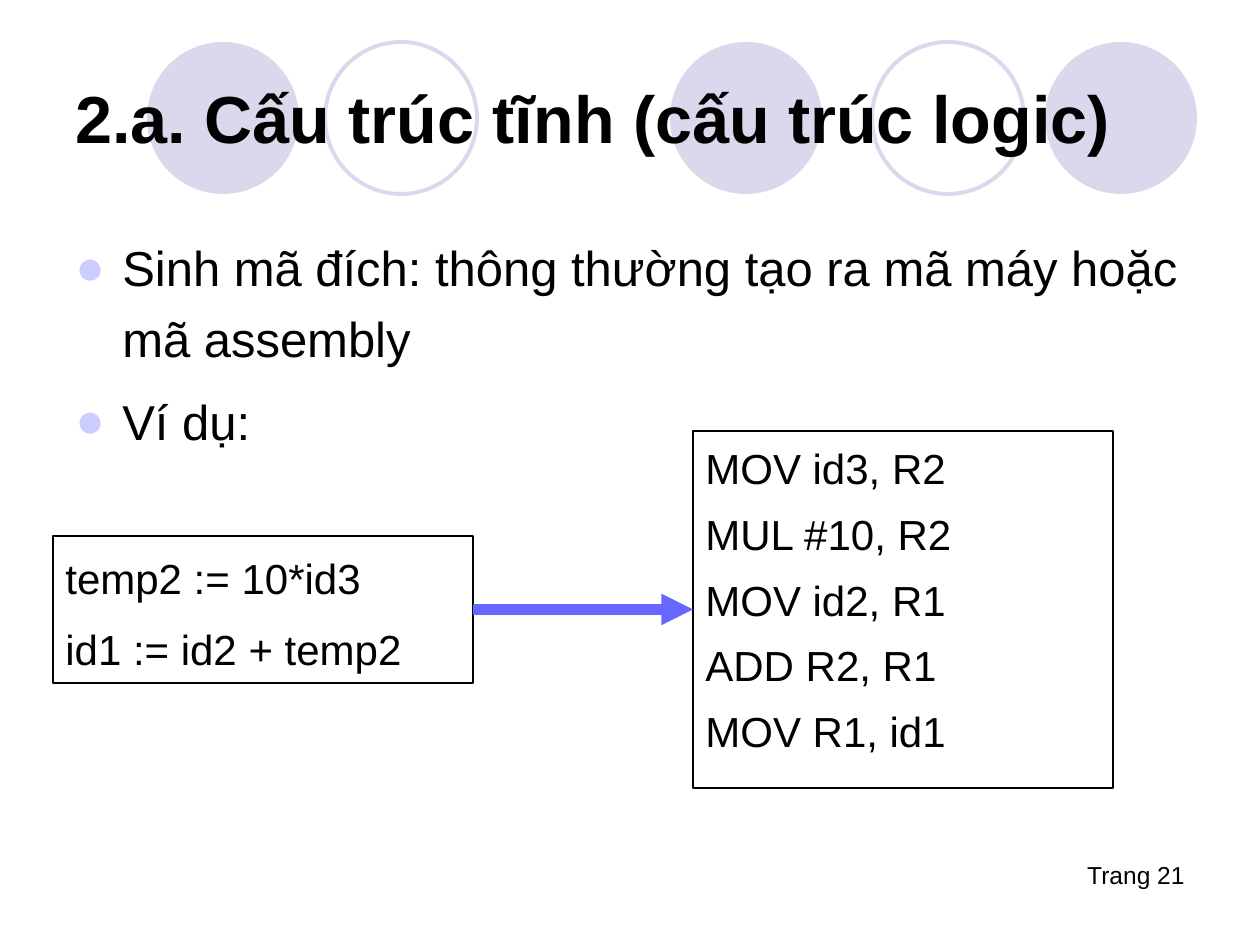
from dataclasses import dataclass
from typing import Optional

from lxml.etree import SubElement
from pptx import Presentation
from pptx.dml.color import RGBColor
from pptx.enum.shapes import MSO_CONNECTOR as Connector, MSO_SHAPE as Shape
from pptx.enum.text import MSO_ANCHOR as Anchor, PP_ALIGN as Align
from pptx.oxml.ns import qn
from pptx.util import Emu, Pt

EMU_PER_PX = 914400 / 126
COLORS = {
    "text": "000000",
    "circle": "D9D8EC",
    "bullet": "CCCCFF",
    "arrow": "6767FF",
}
FONT = "Arial"
CIRCLE_TOP, CIRCLE_SIZE = 42, 152
BULLET_INDENT = 47


@dataclass(frozen=True)
class Circle:
    left: int
    filled: bool


@dataclass(frozen=True)
class TextBlock:
    left: int
    top: int
    width: int
    height: int
    lines: tuple[str, ...]
    size: int
    line_spacing: float = 1.0
    space_before: int = 0
    bold: bool = False
    bullet: Optional[str] = None
    align: Align = Align.LEFT
    anchor: Anchor = Anchor.TOP
    outlined: bool = False


CIRCLES = (
    Circle(670, True),
    Circle(1045, True),
    Circle(147, True),
    Circle(872, False),
    Circle(325, False),
)
PAGE_NUMBER = TextBlock(903, 854, 294, 63, ("Trang 21",), 14, align=Align.RIGHT)
TITLE = TextBlock(63, 38, 1134, 158, ("2.a. Cấu trúc tĩnh (cấu trúc logic)",), 38,
                  bold=True, anchor=Anchor.MIDDLE)
BODY = TextBlock(63, 220, 1134, 273,
                 ("Sinh mã đích: thông thường tạo ra mã máy hoặc mã assembly", "Ví dụ:"),
                 28, line_spacing=1.2, space_before=7, bullet="●")
SOURCE_CODE = TextBlock(53, 536, 420, 147, ("temp2 := 10*id3", "id1 := id2 + temp2"),
                        24, line_spacing=1.2, space_before=6, outlined=True)
TARGET_CODE = TextBlock(693, 431, 420, 357,
                        ("MOV id3, R2", "MUL #10, R2", "MOV id2, R1", "ADD R2, R1", "MOV R1, id1"),
                        24, line_spacing=1.1, space_before=6, outlined=True)


def px(length: int) -> Emu:
    return Emu(round(length * EMU_PER_PX))


def color(name: str) -> RGBColor:
    return RGBColor.from_string(COLORS[name])


def draw_circle(slide, circle: Circle) -> None:
    shape = slide.shapes.add_shape(Shape.OVAL, px(circle.left), px(CIRCLE_TOP),
                                   px(CIRCLE_SIZE), px(CIRCLE_SIZE))
    shape.shadow.inherit = False
    if circle.filled:
        shape.fill.solid()
        shape.fill.fore_color.rgb = color("circle")
        shape.line.fill.background()
    else:
        shape.fill.background()
        shape.line.color.rgb = color("circle")
        shape.line.width = Pt(2.25)


def add_bullet(paragraph, character: str) -> None:
    properties = paragraph._p.get_or_add_pPr()
    properties.set("marL", str(px(BULLET_INDENT)))
    properties.set("indent", str(-px(BULLET_INDENT)))
    bullet_color = SubElement(properties, qn("a:buClr"))
    SubElement(bullet_color, qn("a:srgbClr"), val=COLORS["bullet"])
    SubElement(properties, qn("a:buFont"), typeface=FONT)
    SubElement(properties, qn("a:buChar"), char=character)


def draw_text(slide, block: TextBlock):
    bounds = px(block.left), px(block.top), px(block.width), px(block.height)
    if block.outlined:
        shape = slide.shapes.add_shape(Shape.RECTANGLE, *bounds)
        shape.shadow.inherit = False
        shape.fill.background()
        shape.line.color.rgb = color("text")
        shape.line.width = Pt(1)
    else:
        shape = slide.shapes.add_textbox(*bounds)
    frame = shape.text_frame
    frame.word_wrap = True
    frame.vertical_anchor = block.anchor
    for index, line in enumerate(block.lines):
        paragraph = frame.add_paragraph() if index else frame.paragraphs[0]
        if block.bullet:
            add_bullet(paragraph, block.bullet)
        paragraph.alignment = block.align
        paragraph.line_spacing = block.line_spacing
        paragraph.space_before = Pt(block.space_before if index else 0)
        run = paragraph.add_run()
        run.text = line
        run.font.name = FONT
        run.font.size = Pt(block.size)
        run.font.bold = block.bold
        run.font.color.rgb = color("text")
    return shape


def draw_arrow(slide, source, target) -> None:
    arrow = slide.shapes.add_connector(Connector.STRAIGHT, 0, 0, 0, 0)
    arrow.begin_connect(source, 3)
    arrow.end_connect(target, 1)
    arrow.line.color.rgb = color("arrow")
    arrow.line.width = Pt(6)
    SubElement(arrow.line._get_or_add_ln(), qn("a:tailEnd"), type="triangle")
    SubElement(arrow._element.spPr, qn("a:effectLst"))


def main() -> None:
    presentation = Presentation()
    presentation.slide_width = px(1260)
    presentation.slide_height = px(945)
    slide = presentation.slides.add_slide(presentation.slide_layouts[6])
    for circle in CIRCLES:
        draw_circle(slide, circle)
    for block in (PAGE_NUMBER, TITLE, BODY):
        draw_text(slide, block)
    source = draw_text(slide, SOURCE_CODE)
    target = draw_text(slide, TARGET_CODE)
    draw_arrow(slide, source, target)
    presentation.save("out.pptx")


if __name__ == "__main__":
    main()
